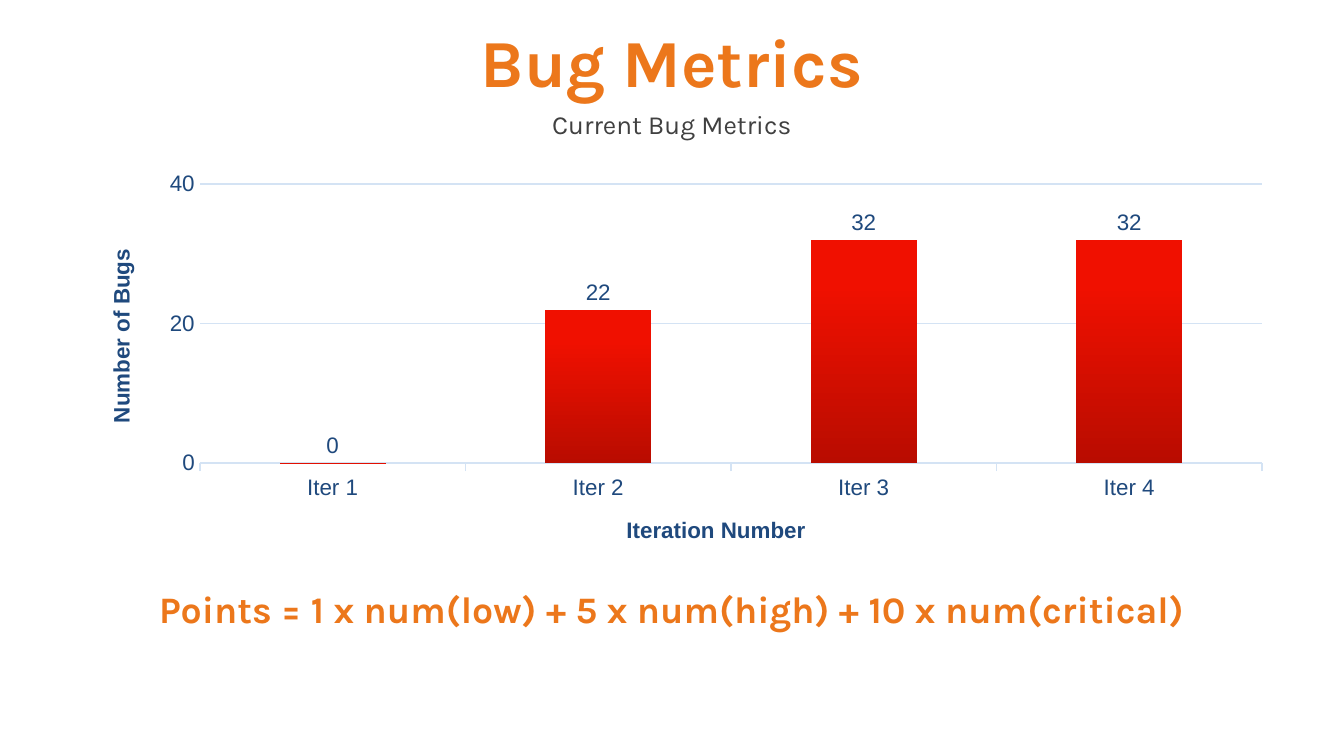
from pptx import Presentation
from pptx.chart.data import CategoryChartData
from pptx.dml.color import RGBColor
from pptx.enum.chart import XL_CHART_TYPE as Kind, XL_LABEL_POSITION as Spot
from pptx.enum.chart import XL_TICK_MARK as Tick
from pptx.enum.text import MSO_ANCHOR as Anchor, PP_ALIGN as Align
from pptx.oxml import parse_xml
from pptx.oxml.ns import nsdecls, qn
from pptx.util import Inches, Pt

ORANGE = RGBColor(0xEC, 0x77, 0x1B)
GRAY = RGBColor(0x40, 0x40, 0x40)
NAVY = RGBColor(0x1F, 0x49, 0x7D)
PALE = RGBColor(0xD4, 0xE3, 0xF4)
REDS = [(0, "B90C00"), (80, "F01000"), (100, "F11000")]


def style(font, face, size, color, bold=False):
    font.name = face
    font.size = Pt(size)
    font.color.rgb = color
    font.bold = bold


def place(part, index, target="", **spots):
    """Give a chart part a fixed layout, in fractions of the chart."""
    for old in part.findall(qn("c:layout")):
        part.remove(old)
    modes = "".join(f'<c:{k}Mode val="edge"/>' for k in "xy")
    sizes = "".join(f'<c:{k} val="{v}"/>' for k, v in spots.items())
    part.insert(index, parse_xml(
        f'<c:layout {nsdecls("c")}><c:manualLayout>{target}{modes}{sizes}'
        "</c:manualLayout></c:layout>"))


def shade(series, stops):
    """Fill the bars with a gradient that runs from bottom to top."""
    marks = "".join(
        f'<a:gs pos="{pos * 1000}"><a:srgbClr val="{color}"/></a:gs>'
        for pos, color in stops)
    series.format.line.fill.background()
    series.format.fill.background()
    props = series.format._element.find(qn("c:spPr"))
    props.replace(props.find(qn("a:noFill")), parse_xml(
        f'<a:gradFill {nsdecls("a")} rotWithShape="1"><a:gsLst>{marks}'
        '</a:gsLst><a:lin ang="16200000" scaled="0"/></a:gradFill>'))


class Deck:
    head = "Karla"
    body = "Arial"

    def __init__(self, wide):
        self.file = Presentation()
        self.file.slide_width = Inches(wide)
        self.file.slide_height = Inches(wide) * 9 // 16
        self.slide = self.file.slides.add_slide(self.file.slide_layouts[6])

    def text(self, words, box, size, color, bold=False, anchor=Anchor.MIDDLE,
             wrap=True):
        frame = self.slide.shapes.add_textbox(*map(Inches, box)).text_frame
        frame.word_wrap = wrap
        frame.vertical_anchor = anchor
        para = frame.paragraphs[0]
        para.alignment = Align.CENTER
        run = para.add_run()
        run.text = words
        style(run.font, self.head, size, color, bold)

    def axis(self, axis, title, x, y):
        style(axis.tick_labels.font, self.body, 12, NAVY)
        frame = axis.axis_title.text_frame
        frame.text = title
        style(frame.paragraphs[0].runs[0].font, self.body, 12, NAVY, True)
        place(axis.axis_title._element, 1, x=x, y=y)

    def chart(self, names, values, box):
        data = CategoryChartData()
        data.categories = names
        data.add_series("Series 1", values)
        chart = self.slide.shapes.add_chart(
            Kind.COLUMN_CLUSTERED, *map(Inches, box), data).chart
        chart.has_legend = False
        chart.has_title = False
        style(chart.font, self.body, 10, NAVY)
        place(chart._chartSpace.chart.plotArea, 0,
              '<c:layoutTarget val="inner"/>', x=0.1, y=0.05, w=0.88, h=0.69)

        base, side = chart.category_axis, chart.value_axis
        self.axis(base, "Iteration Number", 0.45, 0.86)
        base.major_tick_mark = Tick.OUTSIDE
        self.axis(side, "Number of Bugs", 0.02, 0.2)
        side.major_tick_mark = Tick.NONE
        side.minimum_scale, side.maximum_scale, side.major_unit = 0, 40, 20
        side.format.line.fill.background()
        for line in (base.format.line, side.major_gridlines.format.line):
            line.color.rgb = PALE
            line.width = Pt(0.75)

        plot = chart.plots[0]
        plot.gap_width = 150
        plot.vary_by_categories = False
        plot.has_data_labels = True
        labels = plot.data_labels
        labels.show_value = True
        labels.position = Spot.OUTSIDE_END
        style(labels.font, self.body, 12, NAVY)
        shade(plot.series[0], REDS)


def main():
    deck = Deck(10)
    deck.text("Bug Metrics", (0, 0.14, 10, 0.63), 36, ORANGE, bold=True)
    deck.text("Current Bug Metrics", (0, 0.77, 10, 0.31), 14, GRAY)
    deck.chart([f"Iter {n}" for n in range(1, 5)], (0, 22, 32, 32),
               (0.59, 1.22, 8.98, 3.01))
    deck.text("Points = 1 x num(low) + 5 x num(high) + 10 x num(critical)",
              (1.05, 4.31, 7.9, 0.44), 20, ORANGE, bold=True,
              anchor=Anchor.TOP, wrap=False)
    deck.file.save("out.pptx")


if __name__ == "__main__":
    main()
